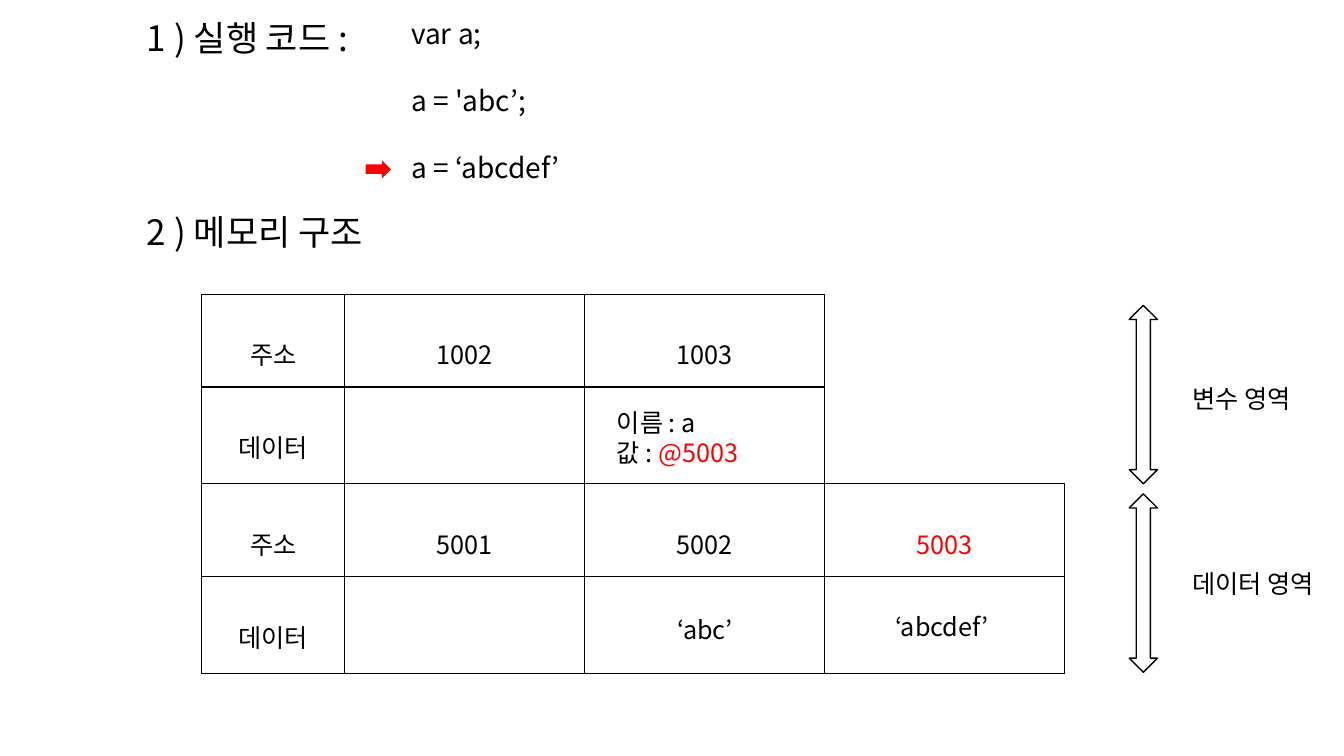
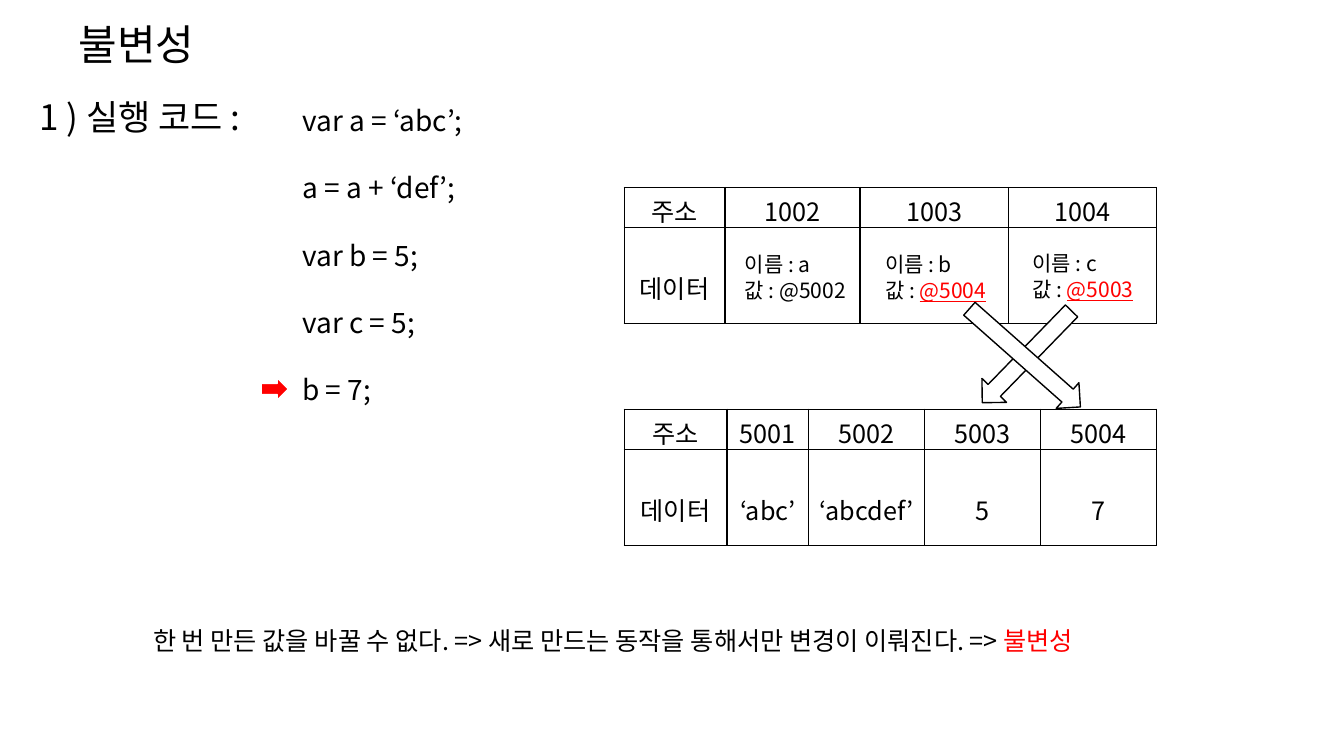
from dataclasses import dataclass
from lxml.etree import SubElement as add_node
from pptx import Presentation
from pptx.dml.color import RGBColor
from pptx.enum.shapes import MSO_SHAPE as Kind
from pptx.enum.text import MSO_AUTO_SIZE as Fit, PP_ALIGN as Align
from pptx.oxml.ns import qn
from pptx.slide import Slide
from pptx.util import Inches, Pt

BLACK = RGBColor(0x00, 0x00, 0x00)
WHITE = RGBColor(0xFF, 0xFF, 0xFF)
RED = RGBColor(0xFF, 0x00, 0x00)
FONT = "Noto Sans CJK KR"
BODY = 18
LEAD = 1.2
DROP = 0.41
EDGES = ("a:lnL", "a:lnR", "a:lnT", "a:lnB")


@dataclass
class Note:
    left: float
    top: float
    width: float
    height: float
    lines: list[str]
    size: int = BODY
    gap: int = 0
    under: bool = False


@dataclass
class Grid:
    left: float
    top: float
    height: float
    cols: list[float]
    rows: list[float]
    cells: list[list[str]]
    drops: list[float]


@dataclass
class Arrow:
    left: float
    top: float
    width: float
    height: float
    kind: Kind = Kind.RIGHT_ARROW
    turn: float = 0
    fill: RGBColor = WHITE
    line: RGBColor = BLACK


def write(para, text: str, size: int, under: bool = False) -> None:
    plain, _, hot = text.partition("|")
    para.text = plain
    if hot:
        para.add_run().text = hot
    for run in para.runs:
        font = run.font
        font.name = FONT
        font.size = Pt(size)
        font.color.rgb = RED if hot and run.text == hot else BLACK
        if under and run.text == hot:
            font.underline = True
        add_node(font._element, qn("a:ea"), typeface=FONT)


def draw_note(slide: Slide, note: Note) -> None:
    box = slide.shapes.add_textbox(
        Inches(note.left), Inches(note.top), Inches(note.width), Inches(note.height))
    frame = box.text_frame
    frame.word_wrap = True
    frame.auto_size = Fit.SHAPE_TO_FIT_TEXT
    for num, line in enumerate(note.lines):
        para = frame.add_paragraph() if num else frame.paragraphs[0]
        write(para, line, note.size, note.under)
        para.line_spacing = Pt(note.size * LEAD)
        para.space_before = Pt(note.gap if num else 0)


def set_edge(cell) -> None:
    props = cell._tc.get_or_add_tcPr()
    for num, name in enumerate(EDGES):
        edge = props.makeelement(qn(name), {"w": str(Pt(1))})
        fill = add_node(edge, qn("a:solidFill"))
        add_node(fill, qn("a:srgbClr"), val=str(BLACK))
        props.insert(num, edge)


def draw_grid(slide: Slide, grid: Grid) -> None:
    frame = slide.shapes.add_table(
        len(grid.rows), len(grid.cols), Inches(grid.left), Inches(grid.top),
        Inches(sum(grid.cols)), Inches(grid.height))
    table = frame.table
    for col, width in zip(table.columns, grid.cols):
        col.width = Inches(width)
    for row, height, texts, drop in zip(table.rows, grid.rows, grid.cells, grid.drops):
        row.height = Inches(height)
        for cell, text in zip(row.cells, texts):
            cell.fill.solid()
            cell.fill.fore_color.rgb = WHITE
            set_edge(cell)
            if text:
                cell.margin_top = Inches(drop)
                para = cell.text_frame.paragraphs[0]
                para.alignment = Align.CENTER
                write(para, text, BODY)
    frame.height = Inches(grid.height)


def draw_arrow(slide: Slide, arrow: Arrow) -> None:
    shape = slide.shapes.add_shape(
        arrow.kind, Inches(arrow.left), Inches(arrow.top),
        Inches(arrow.width), Inches(arrow.height))
    shape.shadow.inherit = False
    shape.rotation = arrow.turn
    shape.fill.solid()
    shape.fill.fore_color.rgb = arrow.fill
    shape.line.color.rgb = arrow.line
    shape.line.width = Pt(1)


def head(left: float, top: float, text: str, width: float = 2.43) -> Note:
    return Note(left, top, width, 0.52, [text], 25)


def code(left: float, top: float, height: float, lines: list[str]) -> Note:
    return Note(left, top, 3.43, height, lines, 20, 24)


def mark(left: float, top: float) -> Arrow:
    return Arrow(left, top, 0.27, 0.22, fill=RED, line=WHITE)


def tall(top: float, cols: list[float], cells: list[list[str]]) -> Grid:
    return Grid(2, top, 1.88, cols, [0.92, 0.96], cells, [DROP, DROP])


def low(top: float, cols: list[float], cells: list[list[str]]) -> Grid:
    return Grid(6.19, top, 1.35, cols, [0, 0.95], cells, [0.05, DROP])


def pair(left: float, top: float, name: str, value: str) -> Note:
    return Note(left, top, 1.89, 0.61, [f"이름 : {name}", f"값 : {value}"], 15, under=True)


def span(top: float) -> Arrow:
    return Arrow(11.2, top, 0.28, 1.77, Kind.UP_DOWN_ARROW)


RUN = "1 ) 실행 코드 :"

MEMORY = [
    head(1.36, 0.11, RUN),
    head(1.36, 2.04, "2 ) 메모리 구조", 9.56),
    code(3.98, 0.11, 2.46, ["var a;", "a = 'abc’;", "a = ‘abcdef’"]),
    tall(2.92, [1.42, 2.38, 2.38], [["주소", "1002", "1003"], ["데이터", "", ""]]),
    Note(6.02, 3.99, 1.89, 0.71, ["이름 : a", "값 : |@5003"]),
    tall(4.8, [1.42, 2.38, 2.38, 2.38],
         [["주소", "5001", "5002", "|5003"], ["데이터", "", "", ""]]),
    Note(6.62, 6.05, 1.89, 0.4, ["‘abc’"]),
    span(3.03),
    span(4.9),
    Note(11.73, 3.75, 1.77, 0.4, ["변수 영역"]),
    Note(11.73, 5.59, 1.77, 0.4, ["데이터 영역"]),
    Note(8.78, 6.02, 1.89, 0.4, ["‘abcdef’"]),
    mark(3.62, 1.57),
]

FIXED = [
    Note(0.68, 0.13, 5.74, 0.61, ["불변성"], 30),
    head(0.29, 0.9, RUN),
    code(2.9, 0.98, 3.8,
         ["var a = ‘abc’;", "a = a + ‘def’;", "var b = 5;", "var c = 5;", "b = 7;"]),
    low(1.86, [1, 1.34, 1.47, 1.47],
        [["주소", "1002", "1003", "1004"], ["데이터", "", "", ""]]),
    pair(7.29, 2.45, "a", "@5002"),
    pair(8.68, 2.45, "b", "|@5004"),
    pair(10.14, 2.44, "c", "|@5003"),
    low(4.06, [1.02, 0.81, 1.15, 1.15, 1.15],
        [["주소", "5001", "5002", "5003", "5004"],
         ["데이터", "‘abc’", "‘abcdef’", "5", "7"]]),
    mark(2.59, 3.75),
    Arrow(9.55, 3.37, 1.27, 0.34, turn=134.2),
    Arrow(9.43, 3.38, 1.47, 0.34, turn=41.5),
    Note(1.42, 6.15, 11.25, 0.4,
         ["한 번 만든 값을 바꿀 수 없다. => 새로 만드는 동작을 통해서만 변경이 이뤄진다. => |불변성"]),
]

DRAW = {Note: draw_note, Grid: draw_grid, Arrow: draw_arrow}

deck = Presentation()
deck.slide_width = Inches(13.33)
deck.slide_height = Inches(7.5)
for items in (MEMORY, FIXED):
    slide = deck.slides.add_slide(deck.slide_layouts[6])
    for item in items:
        DRAW[type(item)](slide, item)
deck.save("out.pptx")
